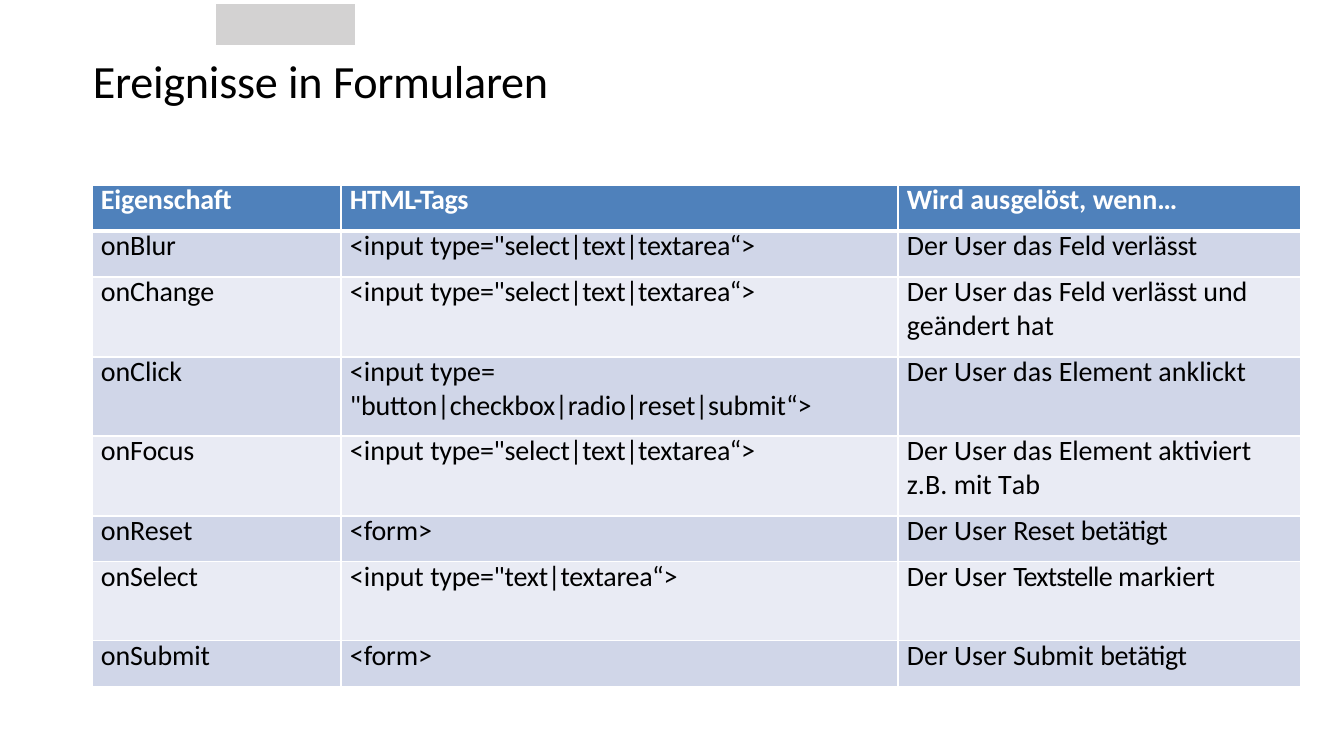
from pptx import Presentation
from pptx.dml.color import RGBColor
from pptx.enum.shapes import MSO_SHAPE as SHAPE
from pptx.enum.text import MSO_ANCHOR as ANCHOR
from pptx.oxml import parse_xml
from pptx.oxml.ns import nsdecls
from pptx.util import Pt

# Content: a run is (text, letter spacing in 1/100 pt), a line is a list of runs
TITLE = [("Ereignisse ", -20), ("in ", -10), ("Formularen", -20)]
INPUT = ("<input ", 0)
SELECT_TAG = [[INPUT, ('type="select|text|textarea“>', -20)]]
FORM_TAG = [[("<form>", -10)]]
USER = ("Der User ", 0)
USER_DAS = ("Der User das ", 0)

HEADER = [
    [[("Eigenschaft", -10)]],
    [[("HTML-Tags", -40)]],
    [[("Wi", -10), ("r", -40), ("d aus", 0), ("gelöst", -15), (", ", 0),
      ("wen", -15), ("n", 10), ("…", 0)]],
]
EVENTS = [
    ("onBlur", SELECT_TAG,
     [[USER_DAS, ("Feld ", -10), ("verlässt", -20)]]),
    ("onChange", SELECT_TAG,
     [[USER_DAS, ("Feld ", -10), ("verlässt ", -20), ("und", 0)],
      [("geän", 0), ("d", 10), ("ert ", 0), ("h", -10), ("a", -40), ("t", 0)]]),
    ("onClick",
     [[("<inp", 0), ("u", 10), ("t type=", 0)],
      [('"button|checkbox|radio|reset|submit“>', -10)]],
     [[USER_DAS, ("Element ", -10), ("anklickt", 0)]]),
    ("onFocus", SELECT_TAG,
     [[USER_DAS, ("Element aktiviert", -10)],
      [("z.B. ", 0), ("mi", -10), ("t ", 0), ("T", -220), ("a", -70), ("b", 0)]]),
    ("onReset", FORM_TAG, [[USER, ("Reset betätigt", -20)]]),
    ("onSelect", [[INPUT, ('type="text|textarea“>', -20)]],
     [[USER, ("Textstelle ", -60), ("markiert", -10)]]),
    ("onSubmit", FORM_TAG, [[("Der User Submit ", 0), ("betätigt", -20)]]),
]
ROWS = [HEADER] + [([[(name, -10)]], tag, trigger) for name, tag, trigger in EVENTS]

# Layout in px
COL_W = [249, 557, 403]
ROW_H = [46, 46, 80, 79, 80, 46, 79, 46]
TABLE_X, TABLE_Y = 92, 185
CELL_INDENT = 9

FONT = "Calibri"
BLACK = RGBColor(0x00, 0x00, 0x00)
WHITE = RGBColor(0xFF, 0xFF, 0xFF)
GREY = RGBColor(0xD3, 0xD2, 0xD2)
BLUE = RGBColor(0x4F, 0x81, 0xBB)
BAND_DARK = RGBColor(0xD0, 0xD6, 0xE8)
BAND_LIGHT = RGBColor(0xE9, 0xEB, 0xF4)


def px(n):
    return round(n * 914400 / 100.8)


def add_runs(p, runs, size, color, bold=False):
    for text, spacing in runs:
        r = p.add_run()
        r.text = text
        r.font.name = FONT
        r.font.size = Pt(size)
        r.font.bold = bold
        r.font.color.rgb = color
        r.font._element.set("spc", str(spacing))


def set_borders(cell, top, bottom):
    tc_pr = cell._tc.get_or_add_tcPr()
    sides = [("lnL", 1), ("lnR", 1), ("lnT", top), ("lnB", bottom)]
    for i, (tag, width) in enumerate(sides):
        tc_pr.insert(i, parse_xml(
            f'<a:{tag} {nsdecls("a")} w="{Pt(width)}"><a:solidFill>'
            f'<a:srgbClr val="{WHITE}"/></a:solidFill></a:{tag}>'))


def fill_cell(cell, lines, row):
    header = row == 0
    cell.margin_left = px(CELL_INDENT)
    cell.margin_right = cell.margin_top = cell.margin_bottom = 0
    cell.vertical_anchor = ANCHOR.TOP
    cell.fill.solid()
    cell.fill.fore_color.rgb = BLUE if header else (BAND_LIGHT, BAND_DARK)[row % 2]
    set_borders(cell, top=3 if row == 1 else 1, bottom=3 if header else 1)
    tf = cell.text_frame
    for i, runs in enumerate(lines):
        p = tf.add_paragraph() if i else tf.paragraphs[0]
        if i == 0:
            p.line_spacing = Pt(22.8)
        add_runs(p, runs, 20, WHITE if header else BLACK, header)


prs = Presentation()
prs.slide_width, prs.slide_height = px(1344), px(756)
s = prs.slides.add_slide(prs.slide_layouts[6])

# Grey block at the top
block = s.shapes.add_shape(SHAPE.RECTANGLE, px(216), px(4), px(139), px(41))
block.shadow.inherit = False
block.fill.solid()
block.fill.fore_color.rgb = GREY
block.line.fill.background()

# Title
sp = s.shapes.add_textbox(px(93), px(51), px(460), px(58))
tf = sp.text_frame
tf.word_wrap = True
tf.margin_left = tf.margin_right = tf.margin_bottom = 0
tf.margin_top = px(1)
p = tf.paragraphs[0]
p.space_before = Pt(1)
add_runs(p, TITLE, 33, BLACK)

# Event table
table = s.shapes.add_table(len(ROWS), len(COL_W), px(TABLE_X), px(TABLE_Y),
                           px(sum(COL_W)), px(sum(ROW_H))).table
for column, width in zip(table.columns, COL_W):
    column.width = px(width)
for row, (cells, height) in enumerate(zip(ROWS, ROW_H)):
    table.rows[row].height = px(height)
    for col, lines in enumerate(cells):
        fill_cell(table.cell(row, col), lines, row)

prs.save("out.pptx")
